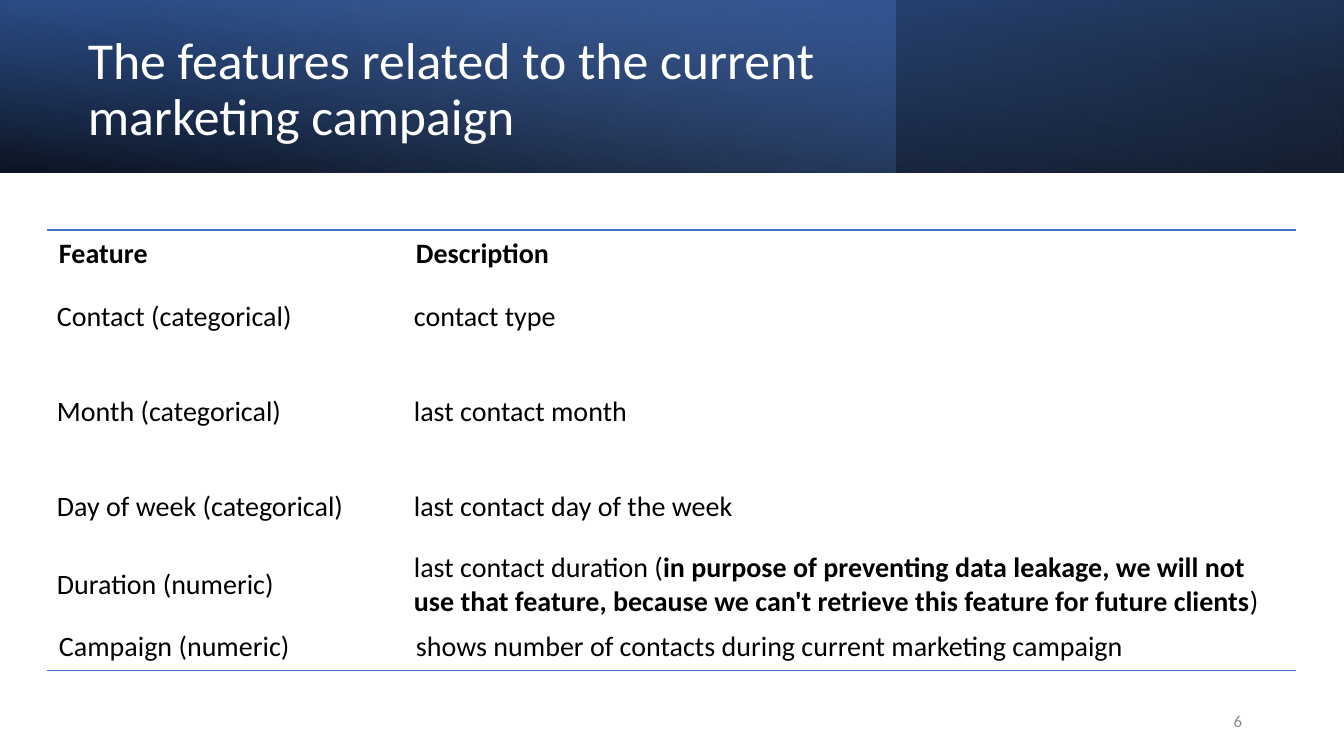
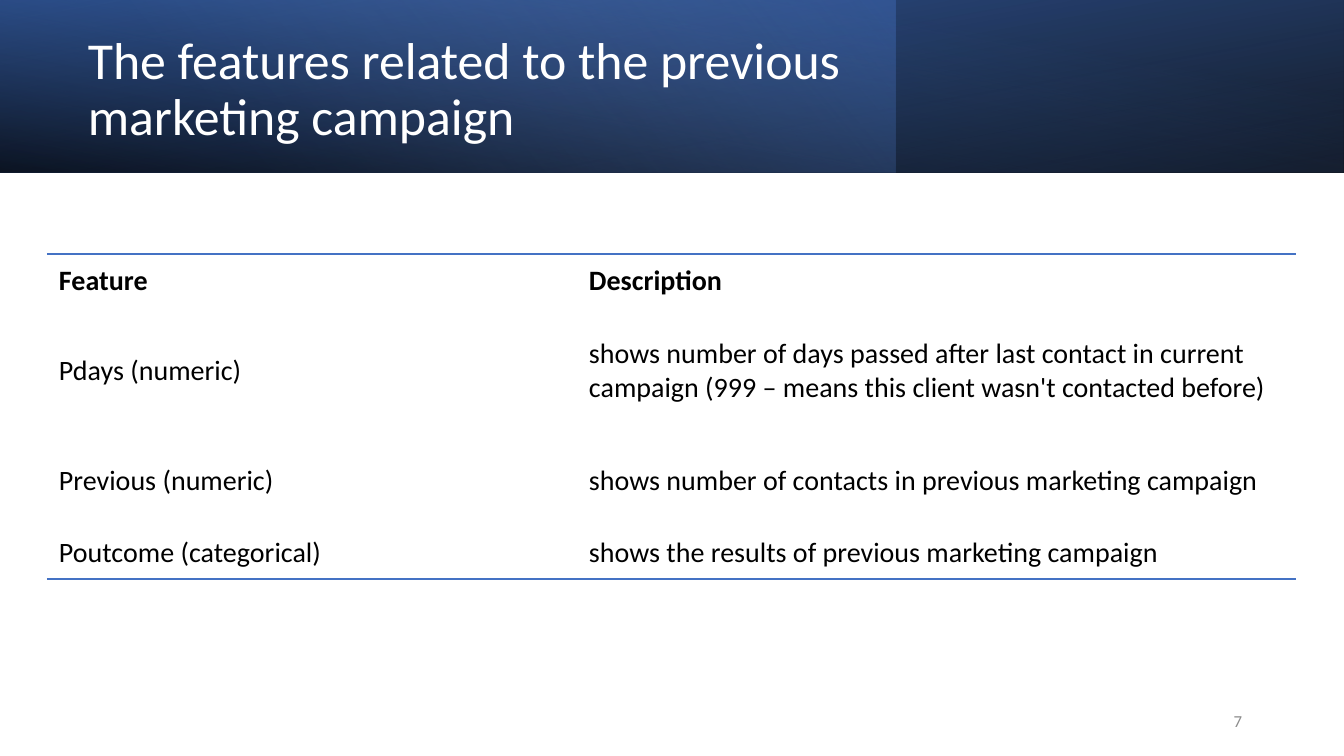
import pptx
import pptx.dml.color
import pptx.enum.shapes
import pptx.enum.text
import pptx.oxml
import pptx.oxml.ns
import pptx.util

PIXELS_PER_INCH = 100.8
SLIDE_WIDTH, SLIDE_HEIGHT = 1344, 756
BAND_HEIGHT = 173
TABLE_LEFT = 47
FONT = "Calibri"
BLACK, WHITE, GREY = "000000", "FFFFFF", "8C8C8C"
BLUE, DARK_BLUE, LIGHT_BLUE = "4472C4", "2F5597", "8FAADC"
PLAIN_TABLE_STYLE = "{2D5ABB26-0587-4C30-8999-92F81FD0307C}"
WIDE, NARROW = (12, 6), (10, 5)

TITLE_FORMAT = {"name": FONT, "size": pptx.util.Pt(37), "color": WHITE}
CELL_FORMAT = {"name": FONT, "size": pptx.util.Pt(20), "color": BLACK}
NUMBER_FORMAT = {"name": FONT, "size": pptx.util.Pt(12), "color": GREY}

# Each stop is position, colour and opacity, both numbers in percent.
BAND_LAYERS = [
    {"width": SLIDE_WIDTH, "rotation": 180, "flip": True, "angle": 100,
     "stops": [(0, BLACK, 96), (100, DARK_BLUE, 100)]},
    {"width": 896, "rotation": 0, "flip": False, "angle": 140,
     "stops": [(0, BLUE, 41), (74, LIGHT_BLUE, 0)]},
    {"width": SLIDE_WIDTH, "rotation": 0, "flip": True, "angle": 260,
     "stops": [(0, BLACK, 63), (78, BLUE, 15)]},
]

# Each row is height, margins, feature and description; *asterisks* mark bold.
SLIDES = [
    {
        "title": "The features related to the current marketing campaign",
        "number": "6",
        "top": 230,
        "columns": [357, 892],
        "rows": [
            (47, WIDE, "*Feature*", "*Description*"),
            (79, NARROW, "Contact (categorical)", "contact type"),
            (111, NARROW, "Month (categorical)", "last contact month"),
            (79, NARROW, "Day of week (categorical)", "last contact day of the week"),
            (68, NARROW, "Duration (numeric)",
             "last contact duration (*in purpose of preventing data leakage, "
             "we will not use that feature, because we can't retrieve this "
             "feature for future clients*)"),
            (47, WIDE, "Campaign (numeric)",
             "shows number of contacts during current marketing campaign"),
        ],
    },
    {
        "title": "The features related to the previous marketing campaign",
        "number": "7",
        "top": 254,
        "columns": [530, 719],
        "rows": [
            (53, WIDE, "*Feature*", "*Description*"),
            (128, WIDE, "Pdays (numeric)",
             "shows number of days passed after last contact in current "
             "campaign (999 – means this client wasn't contacted before)"),
            (91, WIDE, "Previous (numeric)",
             "shows number of contacts in previous marketing campaign"),
            (53, WIDE, "Poutcome (categorical)",
             "shows the results of previous marketing campaign"),
        ],
    },
]


def px(length):
    return pptx.util.Emu(round(length * 914400 / PIXELS_PER_INCH))


def rgb(value):
    return pptx.dml.color.RGBColor.from_string(value)


def write_runs(paragraph, text, font_format):
    """Add the text as runs, with the parts between asterisks in bold."""
    for index, part in enumerate(text.split("*")):
        if not part:
            continue
        run = paragraph.add_run()
        run.text = part
        run.font.bold = index % 2 == 1
        for name, value in font_format.items():
            if name == "color":
                run.font.color.rgb = rgb(value)
            else:
                setattr(run.font, name, value)


def add_text(slide, box, text, font_format, paragraph_format):
    shape = slide.shapes.add_textbox(*map(px, box))
    frame = shape.text_frame
    frame.word_wrap = True
    frame.vertical_anchor = pptx.enum.text.MSO_ANCHOR.MIDDLE
    paragraph = frame.paragraphs[0]
    for name, value in paragraph_format.items():
        setattr(paragraph, name, value)
    write_runs(paragraph, text, font_format)


def add_band_layer(slide, layer):
    shape = slide.shapes.add_shape(
        pptx.enum.shapes.MSO_SHAPE.RECTANGLE, 0, 0, px(layer["width"]), px(BAND_HEIGHT))
    shape.shadow.inherit = False
    shape.line.fill.background()
    shape.rotation = layer["rotation"]
    properties = shape.element.spPr
    if layer["flip"]:
        properties.find(pptx.oxml.ns.qn("a:xfrm")).set("flipH", "1")
    shape.fill.gradient()
    shape.fill.gradient_angle = 360 - layer["angle"]
    for stop, (position, color, _) in zip(shape.fill.gradient_stops, layer["stops"]):
        stop.position = position / 100
        stop.color.rgb = rgb(color)
    colors = properties.iter(pptx.oxml.ns.qn("a:srgbClr"))
    for color, (_, _, opacity) in zip(list(colors), layer["stops"]):
        alpha = color.makeelement(pptx.oxml.ns.qn("a:alpha"), {"val": str(opacity * 1000)})
        color.append(alpha)


def add_border(cell, side):
    """Draw a thin blue line on one side of a cell: T for top, B for bottom."""
    line = pptx.oxml.parse_xml(
        f'<a:ln{side} {pptx.oxml.ns.nsdecls("a")} w="12700"><a:solidFill>'
        f'<a:srgbClr val="{BLUE}"/></a:solidFill></a:ln{side}>')
    cell._tc.get_or_add_tcPr().append(line)


def fill_cell(cell, text, margins):
    horizontal, vertical = map(px, margins)
    cell_format = {
        "margin_left": horizontal, "margin_right": horizontal,
        "margin_top": vertical, "margin_bottom": vertical,
        "vertical_anchor": pptx.enum.text.MSO_ANCHOR.MIDDLE,
    }
    for name, value in cell_format.items():
        setattr(cell, name, value)
    cell.fill.background()
    write_runs(cell.text_frame.paragraphs[0], text, CELL_FORMAT)


def add_feature_table(slide, top, columns, rows):
    height = sum(row[0] for row in rows)
    frame = slide.shapes.add_table(
        len(rows), len(columns), px(TABLE_LEFT), px(top), px(sum(columns)), px(height))
    table = frame.table
    table.first_row = table.horz_banding = False
    style = next(frame.element.iter(pptx.oxml.ns.qn("a:tableStyleId")))
    style.text = PLAIN_TABLE_STYLE
    for column, width in zip(table.columns, columns):
        column.width = px(width)
    for index, (row_height, margins, *texts) in enumerate(rows):
        row = table.rows[index]
        row.height = px(row_height)
        for cell, text in zip(row.cells, texts):
            if index == 0:
                add_border(cell, "T")
            if index == len(rows) - 1:
                add_border(cell, "B")
            fill_cell(cell, text, margins)


def add_feature_slide(presentation, content):
    slide = presentation.slides.add_slide(presentation.slide_layouts[6])
    for layer in BAND_LAYERS:
        add_band_layer(slide, layer)
    add_text(slide, (78, 27, 778, 128), content["title"], TITLE_FORMAT,
             {"line_spacing": 0.9})
    add_feature_table(slide, content["top"], content["columns"], content["rows"])
    add_text(slide, (950, 701, 302, 40), content["number"], NUMBER_FORMAT,
             {"alignment": pptx.enum.text.PP_ALIGN.RIGHT})


def main():
    presentation = pptx.Presentation()
    presentation.slide_width = px(SLIDE_WIDTH)
    presentation.slide_height = px(SLIDE_HEIGHT)
    for content in SLIDES:
        add_feature_slide(presentation, content)
    presentation.save("out.pptx")


if __name__ == "__main__":
    main()
